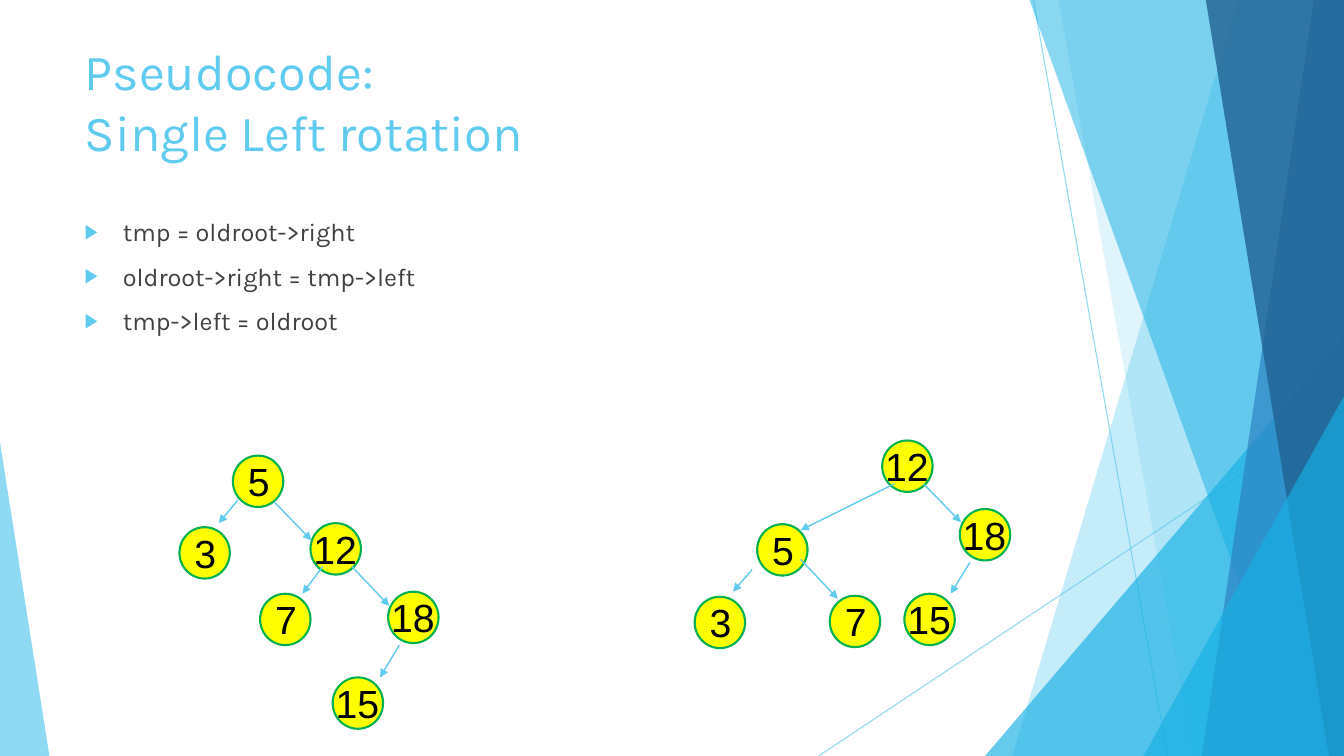
from lxml.etree import SubElement
from pptx import Presentation
from pptx.dml.color import RGBColor
from pptx.enum.shapes import MSO_CONNECTOR as Connector, MSO_SHAPE as Shape
from pptx.enum.text import MSO_ANCHOR as Anchor, MSO_AUTO_SIZE as AutoSize, PP_ALIGN as Align
from pptx.oxml.ns import qn
from pptx.util import Inches, Pt

COLORS = {
    "sky": "5FCBEF", "cyan": "17B0E4", "blue": "2E83C3", "navy": "226292",
    "text": "404040", "black": "000000", "yellow": "FFFF00", "green": "00B050",
}
WIDTH, HEIGHT = 13.33, 7.5
NODE_WIDTH, NODE_HEIGHT = 0.5, 0.51

TREE_BEFORE = {
    "nodes": [("5", 0.53, 0), ("3", 0, 0.71), ("12", 1.3, 0.67),
              ("18", 2.07, 1.35), ("7", 0.8, 1.37), ("15", 1.52, 2.2)],
    "arrows": [(0.94, 0.46, 1.31, 0.84), (1.71, 1.1, 2.08, 1.49), (1.42, 1.1, 1.22, 1.37),
               (0.58, 0.44, 0.39, 0.67), (2.18, 1.88, 1.99, 2.2)],
}
TREE_AFTER = {
    "nodes": [("5", 0.62, 0.83), ("3", 0, 1.55), ("12", 1.86, 0),
              ("18", 2.63, 0.68), ("7", 1.34, 1.54), ("15", 2.08, 1.52)],
    "arrows": [(1.05, 1.18, 1.42, 1.57), (2.27, 0.43, 2.64, 0.81), (1.98, 0.43, 1.05, 0.89),
               (0.57, 1.28, 0.38, 1.5), (2.73, 1.21, 2.54, 1.52)],
}


def rgb(name):
    """Return the named colour."""
    return RGBColor.from_string(COLORS[name])


def set_alpha(fill, percent):
    """Set the opacity of a solid fill."""
    color = fill._xPr.find(qn("a:solidFill"))[0]
    SubElement(color, qn("a:alpha"), val=str(percent * 1000))


def paint(shape, color, alpha):
    """Give a shape a translucent fill and no outline."""
    shape.shadow.inherit = False
    shape.fill.solid()
    shape.fill.fore_color.rgb = rgb(color)
    set_alpha(shape.fill, alpha)
    shape.line.fill.background()


def add_line(page, x1, y1, x2, y2, width):
    """Draw a straight sky-coloured line."""
    line = page.shapes.add_connector(
        Connector.STRAIGHT, Inches(x1), Inches(y1), Inches(x2), Inches(y2))
    line.line.color.rgb = rgb("sky")
    line.line.width = Pt(width)
    SubElement(line._element.spPr, qn("a:effectLst"))
    return line


def add_run(para, text, font, size, color):
    """Add one formatted run."""
    span = para.add_run()
    span.text = text
    span.font.name = font
    span.font.size = Pt(size)
    span.font.color.rgb = rgb(color)


def add_band(page, top_x, bottom_left, bottom_right, color, alpha):
    """Draw a slanted band that reaches the right edge of the page."""
    points = [(WIDTH, 0), (WIDTH, HEIGHT), (bottom_right, HEIGHT), (bottom_left, HEIGHT)]
    builder = page.shapes.build_freeform(Inches(top_x), 0)
    builder.add_line_segments([(Inches(x), Inches(y)) for x, y in points])
    paint(builder.convert_to_shape(), color, alpha)


def add_corner(page, box, tip, color, alpha):
    """Draw a triangle with its tip at the given share of its width."""
    triangle = page.shapes.add_shape(Shape.ISOSCELES_TRIANGLE, *map(Inches, box))
    triangle.adjustments[0] = tip
    paint(triangle, color, alpha)


def add_backdrop(page):
    """Draw the overlapping facets at the page edges."""
    for ends in [(10.25, 0, 11.58, HEIGHT), (WIDTH, 4.03, 8.12, HEIGHT)]:
        set_alpha(add_line(page, *ends, 0.75).line.fill, 70)
    add_band(page, 12.28, 10.04, WIDTH, "sky", 36)
    add_band(page, 10.5, 11.83, WIDTH, "sky", 20)
    add_corner(page, (9.77, 3.33, 3.56, 4.17), 1, "cyan", 66)
    add_band(page, 10.21, 12.91, WIDTH, "cyan", 50)
    add_band(page, 13.03, 11.92, WIDTH, "blue", 70)
    add_band(page, 11.96, 13.18, WIDTH, "navy", 80)
    add_corner(page, (11.34, 3.93, 1.99, 3.57), 1, "cyan", 66)
    add_corner(page, (0, 4.39, 0.49, 3.11), 0, "sky", 70)


def add_title(page, box, lines):
    """Place the title in front of the backdrop."""
    title = page.shapes.title
    title.left, title.top, title.width, title.height = map(Inches, box)
    frame = title.text_frame
    frame.word_wrap = True
    frame.auto_size = AutoSize.NONE
    frame.vertical_anchor = Anchor.TOP
    para = frame.paragraphs[0]
    para.alignment = Align.LEFT
    for index, text in enumerate(lines):
        if index:
            para.add_line_break()
        add_run(para, text, "Karla", 36, "sky")
    page.shapes._spTree.append(title._element)


def add_steps(page, box, steps):
    """List the pseudocode steps with arrowhead bullets."""
    frame = page.shapes.add_textbox(*map(Inches, box)).text_frame
    frame.word_wrap = True
    for index, step in enumerate(steps):
        para = frame.add_paragraph() if index else frame.paragraphs[0]
        para.space_before = Pt(10 if index else 0)
        props = para._p.get_or_add_pPr()
        props.set("marL", str(Inches(0.38)))
        props.set("indent", str(-Inches(0.38)))
        bullet_color = SubElement(props, qn("a:buClr"))
        SubElement(bullet_color, qn("a:srgbClr"), val=COLORS["sky"])
        SubElement(props, qn("a:buSzPct"), val="80000")
        SubElement(props, qn("a:buFont"), typeface="Arial")
        SubElement(props, qn("a:buChar"), char="▶")
        add_run(para, step, "Karla", 18, "text")


def add_node(page, left, top, key):
    """Draw a tree node and its key."""
    circle = page.shapes.add_shape(
        Shape.OVAL, Inches(left), Inches(top), Inches(NODE_WIDTH), Inches(NODE_HEIGHT))
    circle.shadow.inherit = False
    circle.fill.solid()
    circle.fill.fore_color.rgb = rgb("yellow")
    circle.line.color.rgb = rgb("green")
    circle.line.width = Pt(1.5)
    shift, width = (0.05, 0.45) if len(key) == 1 else (-0.07, 0.68)
    label = page.shapes.add_textbox(
        Inches(left + shift), Inches(top - 0.03), Inches(width), Inches(0.57))
    label.text_frame.word_wrap = True
    add_run(label.text_frame.paragraphs[0], key, "Arial", 28, "black")


def add_tree(page, left, top, tree):
    """Draw a tree from its top left corner."""
    for key, x, y in tree["nodes"]:
        add_node(page, left + x, top + y, key)
    for x1, y1, x2, y2 in tree["arrows"]:
        arrow = add_line(page, left + x1, top + y1, left + x2, top + y2, 1)
        SubElement(arrow.line._get_or_add_ln(), qn("a:tailEnd"), type="triangle")


def main():
    """Build and save the slide."""
    deck = Presentation()
    deck.slide_width, deck.slide_height = Inches(WIDTH), Inches(HEIGHT)
    page = deck.slides.add_slide(deck.slide_layouts[5])
    add_backdrop(page)
    add_title(page, (0.74, 0.35, 9.4, 1.44), ["Pseudocode:", "Single Left rotation"])
    add_steps(page, (0.74, 2.1, 9.4, 4.24),
              ["tmp = oldroot->right", "oldroot->right = tmp->left", "tmp->left = oldroot"])
    add_tree(page, 1.78, 4.52, TREE_BEFORE)
    add_tree(page, 6.89, 4.37, TREE_AFTER)
    deck.save("out.pptx")


if __name__ == "__main__":
    main()
